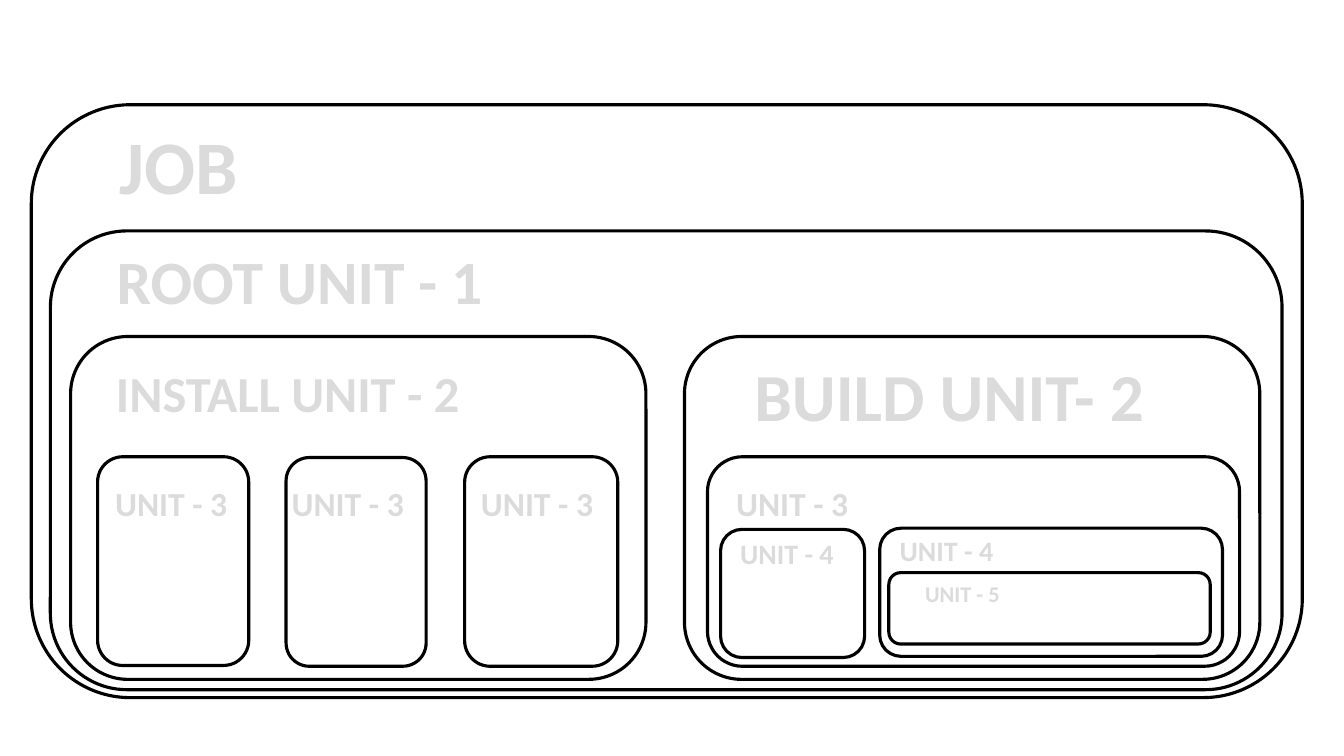
from lxml.etree import SubElement
from pptx import Presentation
from pptx.dml.color import RGBColor
from pptx.enum.dml import MSO_PATTERN
from pptx.enum.shapes import MSO_SHAPE
from pptx.enum.text import MSO_AUTO_SIZE, PP_ALIGN
from pptx.oxml.ns import qn
from pptx.util import Cm, Pt

COLORS = {"border": "000000", "stripe": "A5A5A5", "letter": "DBDBDB", "edge": "525252"}

BOXES = [
    (0.79, 2.64, 32.03, 14.94),
    (1.27, 5.82, 31.04, 11.56),
    (1.78, 8.48, 14.5, 8.64),
    (17.25, 8.48, 14.5, 8.64),
    (2.46, 11.51, 3.81, 5.26),
    (7.21, 11.53, 3.53, 5.26),
    (11.71, 11.51, 3.86, 5.28),
    (17.83, 11.51, 13.41, 5.28),
    (18.16, 13.34, 3.63, 3.23),
    (22.17, 13.31, 8.64, 3.23),
    (22.4, 14.43, 8.1, 1.8),
]

HEADINGS = [
    ("JOB", 54, (2.74, 2.87, 3.53, 2.57)),
    ("ROOT UNIT - 1", 44, (2.64, 5.99, 9.83, 2.13)),
    ("INSTALL UNIT - 2", 36, (2.62, 8.99, 9.27, 1.8)),
    ("BUILD UNIT- 2", 48, (18.64, 8.81, 10.57, 2.31)),
]

UNIT_WIDTH = 3.71
UNITS = [
    ("UNIT - 3", 24, 1.27, [(2.46, 12.04), (6.91, 12.04), (11.68, 12.04), (18.11, 12.04)]),
    ("UNIT - 4", 20, 1.12, [(17.98, 13.39), (22, 13.31)]),
    ("UNIT - 5", 16, 0.94, [(22.4, 14.5)]),
]


def color(name):
    """Return the named colour."""
    return RGBColor.from_string(COLORS[name])


def add_box(slide, at):
    """Add an unfilled rounded box."""
    s = slide.shapes.add_shape(MSO_SHAPE.ROUNDED_RECTANGLE, *map(Cm, at))
    s.shadow.inherit = False
    s.fill.background()
    s.line.color.rgb = color("border")
    s.line.width = Pt(2.25)


def style_letters(r):
    """Give a run striped letters with a thin edge."""
    fill = r.font.fill
    fill.patterned()
    fill.pattern = MSO_PATTERN.NARROW_HORIZONTAL
    fill.fore_color.rgb = color("stripe")
    fill.back_color.rgb = color("letter")
    rPr = r._r.get_or_add_rPr()
    ln = SubElement(rPr, qn("a:ln"), w=str(Pt(1)))
    SubElement(SubElement(ln, qn("a:solidFill")), qn("a:srgbClr"), val=COLORS["edge"])
    rPr.insert(0, ln)


def add_label(slide, text, size, at, wrap):
    """Add a bold centred label."""
    tf = slide.shapes.add_textbox(*map(Cm, at)).text_frame
    tf.word_wrap = wrap
    tf.auto_size = MSO_AUTO_SIZE.SHAPE_TO_FIT_TEXT
    p = tf.paragraphs[0]
    p.alignment = PP_ALIGN.CENTER
    p.font.name = "Calibri"
    p.font.size = Pt(size)
    p.font.bold = True
    r = p.add_run()
    r.text = text
    style_letters(r)


def main():
    """Build the slide of nested units."""
    prs = Presentation()
    prs.slide_width, prs.slide_height = Cm(33.87), Cm(19.05)
    slide = prs.slides.add_slide(prs.slide_layouts[6])
    for at in BOXES:
        add_box(slide, at)
    for text, size, at in HEADINGS:
        add_label(slide, text, size, at, wrap=False)
    for text, size, height, corners in UNITS:
        for left, top in corners:
            add_label(slide, text, size, (left, top, UNIT_WIDTH, height), wrap=True)
    prs.save("out.pptx")


if __name__ == "__main__":
    main()
